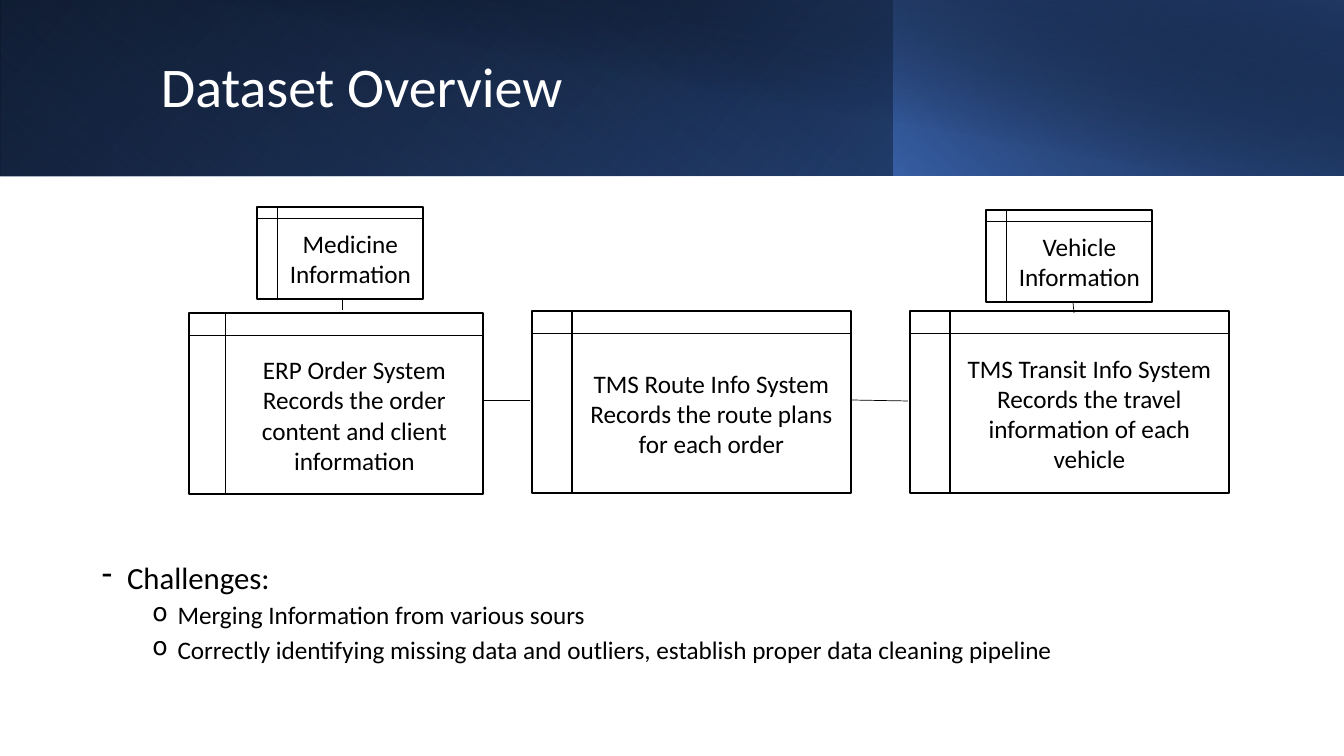
"""Build the Dataset Overview slide: gradient banner, data systems and challenges."""
from lxml import etree
from pptx import Presentation
from pptx.dml.color import RGBColor
from pptx.enum.shapes import MSO_CONNECTOR, MSO_SHAPE
from pptx.enum.text import MSO_ANCHOR, PP_ALIGN
from pptx.oxml.ns import qn
from pptx.util import Pt

RECT = MSO_SHAPE.RECTANGLE
STORAGE = MSO_SHAPE.FLOWCHART_INTERNAL_STORAGE
STRAIGHT = MSO_CONNECTOR.STRAIGHT
TOP, MIDDLE = MSO_ANCHOR.TOP, MSO_ANCHOR.MIDDLE
LEFT, CENTER = PP_ALIGN.LEFT, PP_ALIGN.CENTER

BLACK = RGBColor(0, 0, 0)
WHITE = RGBColor(255, 255, 255)
NAVY = RGBColor(0x20, 0x38, 0x64)
BLUE = RGBColor(0x44, 0x72, 0xC4)
DEEP_BLUE = RGBColor(0x2F, 0x55, 0x97)
FONT = "Calibri"
EMU_PER_PX = 914400 / 100.8
EMU_PER_INCH = 914400

# box, rotation, mirrored, angle, stops as (position %, colour, opacity %)
BANNER = [
    ((0, 0, 1344, 176), 0, True, 140, [(0, BLACK, 100), (100, DEEP_BLUE, 100)]),
    ((0, 0, 895, 176), 180, True, 230, [(20, BLUE, 0), (100, NAVY, 55)]),
    ((894, 0, 450, 176), 0, True, 220, [(0, BLUE, 66), (100, BLACK, 30)]),
    ((50, 0, 1294, 176), 0, False, 280, [(50, BLACK, 0), (99, NAVY, 52)]),
]
TITLE = "Dataset Overview"
TABLES = [
    ((257, 207, 166, 92), ["Medicine Information"]),
    ((986, 210, 166, 92), ["Vehicle Information"]),
    ((189, 313, 294, 181), ["ERP Order System", "Records the order content and client information"]),
    ((910, 311, 319, 182), ["TMS Transit Info System", "Records the travel information of each vehicle"]),
    ((532, 311, 319, 182), ["TMS Route Info System", "Records the route plans for each order"]),
]
LINKS = [
    (342, 310, 342, 299),
    (1074, 313, 1073, 302),
    (530, 400, 484, 400),
    (908, 401, 851, 400),
]
# text, size, bullet, left margin in inches, space before
CHALLENGES = [
    ("Challenges:", 22, "-", 0.25, 0),
    ("Merging Information from various sours", 18, "o", 0.75, 5),
    ("Correctly identifying missing data and outliers, establish proper data cleaning pipeline", 18, "o", 0.75, 5),
]


def px(*values):
    return [round(v * EMU_PER_PX) for v in values]


def add_text(tf, text, size=18, color=BLACK, align=LEFT, anchor=TOP, spacing=1.0,
             before=0, bullet=None, margin=0):
    tf.word_wrap = True
    tf.vertical_anchor = anchor
    p = tf.paragraphs[0] if not tf.text else tf.add_paragraph()
    p.alignment, p.line_spacing, p.space_before = align, spacing, Pt(before)
    if bullet:
        pPr = p._p.get_or_add_pPr()
        pPr.set("marL", str(round(margin * EMU_PER_INCH)))
        pPr.set("indent", str(round(-0.25 * EMU_PER_INCH)))
        etree.SubElement(pPr, qn("a:buChar")).set("char", bullet)
    r = p.add_run()
    r.text = text
    r.font.size, r.font.name, r.font.color.rgb = Pt(size), FONT, color


def add_box(slide, kind, box):
    s = slide.shapes.add_shape(kind, *px(*box))
    s.shadow.inherit = False
    return s


def add_banner_layer(slide, box, rotation, mirrored, angle, stops):
    s = add_box(slide, RECT, box)
    s.line.fill.background()
    s.rotation = rotation
    if mirrored:
        s._element.spPr.find(qn("a:xfrm")).set("flipH", "1")
    s.fill.gradient()
    grad = s._element.spPr.find(qn("a:gradFill"))
    for child in list(grad):
        grad.remove(child)
    stop_list = etree.SubElement(grad, qn("a:gsLst"))
    for position, color, opacity in stops:
        stop = etree.SubElement(stop_list, qn("a:gs"), pos=str(position * 1000))
        clr = etree.SubElement(stop, qn("a:srgbClr"), val=str(color))
        etree.SubElement(clr, qn("a:alpha"), val=str(opacity * 1000))
    etree.SubElement(grad, qn("a:lin"), ang=str(angle * 60000), scaled="0")


def add_table_box(slide, box, lines):
    s = add_box(slide, STORAGE, box)
    s.fill.solid()
    s.fill.fore_color.rgb = WHITE
    s.line.color.rgb = BLACK
    s.line.width = Pt(1)
    for line in lines:
        add_text(s.text_frame, line, align=CENTER, anchor=MIDDLE)


def add_link(slide, ends):
    c = slide.shapes.add_connector(STRAIGHT, *px(*ends))
    c.line.color.rgb = BLACK
    c.line.width = Pt(0.5)
    etree.SubElement(c._element.spPr, qn("a:effectLst"))


def main():
    prs = Presentation()
    prs.slide_width, prs.slide_height = px(1344, 756)
    slide = prs.slides.add_slide(prs.slide_layouts[6])
    for layer in BANNER:
        add_banner_layer(slide, *layer)
    title = slide.shapes.add_textbox(*px(151, 32, 1091, 114))
    add_text(title.text_frame, TITLE, size=40, color=WHITE, anchor=MIDDLE, spacing=0.9)
    for box, lines in TABLES:
        add_table_box(slide, box, lines)
    challenges = slide.shapes.add_textbox(*px(92, 558, 1159, 145))
    for text, size, bullet, margin, before in CHALLENGES:
        add_text(challenges.text_frame, text, size=size, spacing=0.9,
                 before=before, bullet=bullet, margin=margin)
    for ends in LINKS:
        add_link(slide, ends)
    prs.save("out.pptx")


if __name__ == "__main__":
    main()
